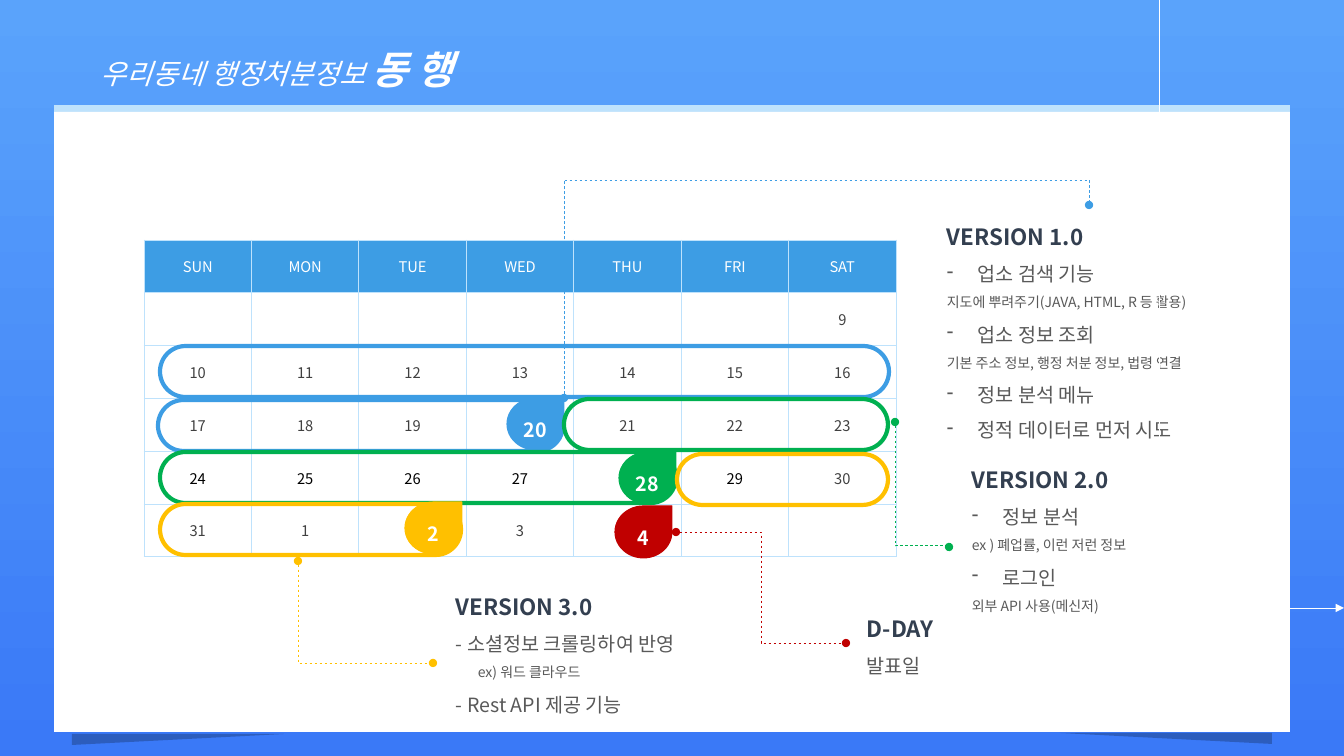
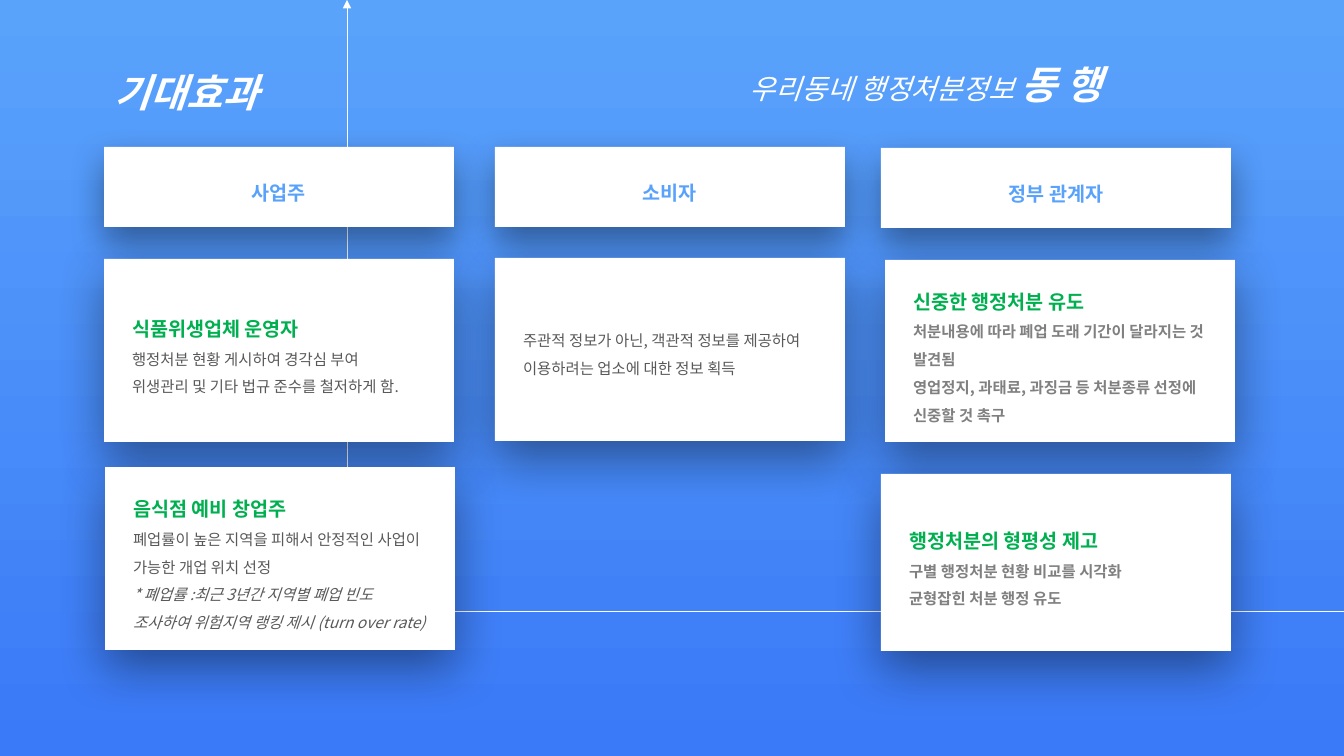
from dataclasses import dataclass

from pptx import Presentation
from pptx.dml.color import RGBColor
from pptx.enum.dml import MSO_LINE
from pptx.enum.shapes import MSO_CONNECTOR, MSO_SHAPE
from pptx.enum.text import MSO_ANCHOR, MSO_AUTO_SIZE, PP_ALIGN
from pptx.oxml.ns import qn
from pptx.oxml.xmlchemy import OxmlElement
from pptx.util import Emu, Pt


@dataclass(frozen=True)
class Theme:
    font: str = "Noto Sans CJK KR"
    white: str = "FFFFFF"
    black: str = "000000"
    sky_top: str = "5AA3FB"
    sky_bottom: str = "3A79F7"
    pale_blue: str = "BEE2FC"
    card_blue: str = "59A2FB"
    blue: str = "3D9DE4"
    green: str = "00B050"
    yellow: str = "FFC000"
    red: str = "C00000"
    navy: str = "333F50"
    date: str = "404040"
    body: str = "595959"
    gray: str = "808080"
    title_size: float = 28
    subtitle_size: float = 20
    heading_size: float = 16
    item_size: float = 14
    card_size: float = 11
    date_size: float = 10.5
    note_size: float = 10


THEME = Theme()
WIDTH, HEIGHT = 1344, 756
EMU_PER_PX = 12192000 / WIDTH

# Text styles: keyword arguments for write()
HEADING = dict(size=THEME.heading_size, color=THEME.navy, bold=True)
ITEM = dict(size=THEME.item_size, color=THEME.body)
BULLET = dict(ITEM, bullet="-", indent=31)
NOTE = dict(size=THEME.note_size, color=THEME.body)
CARD_HEADING = dict(size=THEME.item_size, color=THEME.green, bold=True)
CARD_TEXT = dict(size=THEME.card_size, color=THEME.body)
CARD_STRONG = dict(size=THEME.card_size, color=THEME.gray, bold=True)
BIG_TITLE = dict(size=THEME.title_size, color=THEME.white, bold=True, italic=True)


def px(length):
    return Emu(round(length * EMU_PER_PX))


def rgb(color):
    return RGBColor.from_string(color)


def add_element(parent, tag, **attributes):
    element = OxmlElement(tag)
    for name, value in attributes.items():
        element.set(name, str(value))
    parent.append(element)
    return element


def write(frame, text, *, size, color, bold=False, italic=False, align=PP_ALIGN.LEFT,
          spacing=1.5, bullet=None, indent=0, same_line=False):
    """Add text as a new paragraph, or as a further run of the last one."""
    paragraph = frame.paragraphs[-1]
    if not same_line:
        if paragraph.runs:
            paragraph = frame.add_paragraph()
        paragraph.alignment = align
        paragraph.line_spacing = spacing
        properties = paragraph._p.get_or_add_pPr()
        if indent:
            properties.set("marL", str(px(indent)))
        if bullet:
            properties.set("indent", str(-px(indent)))
            add_element(properties, "a:buChar", char=bullet)
    run = paragraph.add_run()
    run.text = text
    run.font.size = Pt(size)
    run.font.bold = bold
    run.font.italic = italic
    run.font.color.rgb = rgb(color)
    run.font.name = THEME.font
    add_element(run._r.get_or_add_rPr(), "a:ea", typeface=THEME.font)


def add_text(slide, box, lines):
    frame = slide.shapes.add_textbox(*map(px, box)).text_frame
    frame.word_wrap = True
    frame.auto_size = MSO_AUTO_SIZE.SHAPE_TO_FIT_TEXT
    for text, style in lines:
        write(frame, text, **style)


def add_shape(slide, kind, box, fill=None, line=None, line_width=0.75):
    shape = slide.shapes.add_shape(kind, *map(px, box))
    shape.shadow.inherit = False
    if fill:
        shape.fill.solid()
        shape.fill.fore_color.rgb = rgb(fill)
    else:
        shape.fill.background()
    if line:
        shape.line.color.rgb = rgb(line)
        shape.line.width = Pt(line_width)
    else:
        shape.line.fill.background()
    return shape


def set_alpha(color_element, percent):
    add_element(color_element, "a:alpha", val=percent * 1000)


def add_shadow(shape, color, opacity, blur, distance, angle):
    effects = shape._element.spPr.find(qn("a:effectLst"))
    shadow = add_element(effects, "a:outerShdw", blurRad=Pt(blur), dist=Pt(distance),
                         dir=angle * 60000, algn="ctr", rotWithShape=0)
    set_alpha(add_element(shadow, "a:srgbClr", val=color), opacity)


def add_elbow(slide, start, end, bend, color, vertical=False, head=None,
              tail="oval", dashed=True):
    """Draw a bent connector; bend is the share of the way to the turn."""
    (x1, y1), (x2, y2) = start, end
    dx, dy = x2 - x1, y2 - y1
    turn = -1 if dy > 0 else 1
    if vertical:  # Lay the frame flat here; it is rotated upright below.
        middle_x, middle_y = (x1 + x2) / 2, (y1 + y2) / 2
        x1, x2 = middle_x - turn * dy / 2, middle_x + turn * dy / 2
        y1, y2 = middle_y + turn * dx / 2, middle_y - turn * dx / 2
    connector = slide.shapes.add_connector(MSO_CONNECTOR.ELBOW, *map(px, (x1, y1, x2, y2)))
    properties = connector._element.spPr
    if vertical:
        properties.find(qn("a:xfrm")).set("rot", str(turn * 90 % 360 * 60000))
    guides = properties.find(qn("a:prstGeom")).get_or_add_avLst()
    add_element(guides, "a:gd", name="adj1", fmla=f"val {round(bend * 100000)}")
    connector.line.color.rgb = rgb(color)
    connector.line.width = Pt(0.5)
    if dashed:
        connector.line.dash_style = MSO_LINE.DASH
    outline = properties.find(qn("a:ln"))
    if head:
        add_element(outline, "a:headEnd", type=head)
    add_element(outline, "a:tailEnd", type=tail)
    add_element(properties, "a:effectLst")


def add_service_title(slide, left, top):
    add_text(slide, (left, top, 605, 73), [
        ("우리동네 행정처분정보 ", dict(size=THEME.subtitle_size, color=THEME.white, italic=True)),
        ("동 행", dict(BIG_TITLE, same_line=True)),
    ])


def set_background(master):
    fill = master.background.fill
    fill.gradient()
    fill.gradient_angle = 270
    for stop, color in zip(fill.gradient_stops, (THEME.sky_top, THEME.sky_bottom)):
        stop.color.rgb = rgb(color)


# Calendar slide
def add_panel(slide):
    panel = add_shape(slide, MSO_SHAPE.RECTANGLE, (54, 112, 1236, 620), THEME.white)
    add_shadow(panel, THEME.pale_blue, 100, 0, 5, 270)
    for left, top, flips in ((72, 734, ("flipV",)), (1060, 733, ("flipH", "flipV"))):
        fold = add_shape(slide, MSO_SHAPE.RIGHT_TRIANGLE, (left, top, 212, 11), THEME.black)
        for flip in flips:
            fold._element.spPr.find(qn("a:xfrm")).set(flip, "1")
        set_alpha(fold._element.spPr.find(qn("a:solidFill"))[0], 23)


def format_cell(cell, text, fill, color):
    properties = cell._tc.get_or_add_tcPr()
    for side in ("a:lnL", "a:lnR", "a:lnT", "a:lnB"):
        border = add_element(properties, side, w=Pt(0.75))
        add_element(add_element(border, "a:solidFill"), "a:srgbClr", val=THEME.pale_blue)
    cell.fill.solid()
    cell.fill.fore_color.rgb = rgb(fill)
    cell.vertical_anchor = MSO_ANCHOR.MIDDLE
    if text:
        write(cell.text_frame, text, size=THEME.date_size, color=color,
              align=PP_ALIGN.CENTER, spacing=1.0)


def add_calendar(slide):
    weekdays = ["SUN", "MON", "TUE", "WED", "THU", "FRI", "SAT"]
    dates = [""] * 6 + [str(day) for day in (*range(9, 32), *range(1, 5))] + [""] * 2
    columns, rows = len(weekdays), 6
    table = slide.shapes.add_table(rows, columns, *map(px, (144, 240, 752, 317))).table
    table.first_row = table.horz_banding = False
    for column in table.columns:
        column.width = px(752 / columns)
    for row in table.rows:
        row.height = px(317 / rows)
    for index, text in enumerate(weekdays + dates):
        row, column = divmod(index, columns)
        fill, color = (THEME.white, THEME.date) if row else (THEME.blue, THEME.white)
        if text.isdigit() and 24 <= int(text) <= 29:
            color = THEME.black
        format_cell(table.cell(row, column), text, fill, color)


def add_period(slide, left, top, width, color):
    pill = add_shape(slide, MSO_SHAPE.ROUNDED_RECTANGLE, (left, top, width, 51),
                     line=color, line_width=3)
    pill.adjustments[0] = 0.5


def add_deadline(slide, left, top, day, color):
    drop = add_shape(slide, MSO_SHAPE.TEAR, (left, top, 57, 52), color, color)
    frame = drop.text_frame
    frame.word_wrap = False
    frame.vertical_anchor = MSO_ANCHOR.MIDDLE
    write(frame, day, size=THEME.item_size, color=THEME.white, bold=True,
          align=PP_ALIGN.CENTER)


def build_schedule(slide):
    add_panel(slide)
    add_calendar(slide)

    # Periods, deadlines and their leader lines
    dots = dict(head="oval", tail="oval")
    add_period(slide, 158, 400, 405, THEME.blue)
    add_deadline(slide, 507, 398, "20", THEME.blue)
    add_elbow(slide, (564, 398), (1089, 205), 1.13, THEME.blue, vertical=True, **dots)
    add_period(slide, 160, 346, 729, THEME.blue)
    add_period(slide, 564, 399, 324, THEME.green)
    add_period(slide, 160, 452, 516, THEME.green)
    add_deadline(slide, 619, 452, "28", THEME.green)
    add_period(slide, 677, 454, 211, THEME.yellow)
    add_period(slide, 160, 504, 301, THEME.yellow)
    add_deadline(slide, 405, 502, "2", THEME.yellow)
    add_deadline(slide, 615, 506, "4", THEME.red)
    add_elbow(slide, (298, 561), (433, 663), 0, THEME.yellow, **dots)
    add_elbow(slide, (895, 422), (949, 547), 0.99, THEME.green, vertical=True, **dots)
    add_elbow(slide, (676, 532), (846, 643), 0.5, THEME.red, **dots)

    # Version notes
    add_text(slide, (937, 205, 303, 244), [
        ("VERSION 1.0", HEADING),
        ("업소 검색 기능", BULLET),
        ("지도에 뿌려주기(JAVA, HTML, R 등 활용)", NOTE),
        ("업소 정보 조회", BULLET),
        ("기본 주소 정보, 행정 처분 정보, 법령 연결", NOTE),
        ("정보 분석 메뉴", BULLET),
        ("정적 데이터로 먼저 시도", BULLET),
    ])
    add_text(slide, (962, 448, 279, 173), [
        ("VERSION 2.0", HEADING),
        ("정보 분석", BULLET),
        ("ex ) 폐업률, 이런 저런 정보", NOTE),
        ("로그인", BULLET),
        ("외부 API 사용(메신저)", NOTE),
    ])
    add_text(slide, (446, 575, 296, 147), [
        ("VERSION 3.0", HEADING),
        ("- 소셜정보 크롤링하여 반영", ITEM),
        ("ex) 워드 클라우드", dict(NOTE, indent=22)),
        ("- Rest API 제공 기능", ITEM),
    ])
    add_text(slide, (857, 597, 279, 87), [("D-DAY", HEADING), ("발표일", ITEM)])

    add_service_title(slide, 91, 17)
    add_elbow(slide, (1159, 0), (1344, 608), 1, THEME.white, vertical=True,
              tail="triangle", dashed=False)


# Expected effects slide
def add_card(slide, left, top, height, lines, blur=36, distance=13, inset=28):
    card = add_shape(slide, MSO_SHAPE.RECTANGLE, (left, top, 350, height), THEME.white)
    add_shadow(card, THEME.black, 40, blur, distance, 90)
    frame = card.text_frame
    frame.word_wrap = True
    frame.vertical_anchor = MSO_ANCHOR.MIDDLE
    frame.margin_left = frame.margin_right = px(inset)
    for text, style in lines:
        write(frame, text, **style)


def build_effects(slide):
    add_elbow(slide, (1344, 611), (347, 0), 1, THEME.white, tail="triangle", dashed=False)
    add_service_title(slide, 740, 32)
    add_text(slide, (105, 40, 605, 73), [("기대효과", BIG_TITLE)])

    # Audience headers
    audience = dict(size=THEME.item_size, color=THEME.card_blue, bold=True,
                    align=PP_ALIGN.CENTER)
    for left, top, name in ((104, 147, "사업주"), (495, 147, "소비자"), (881, 148, "정부 관계자")):
        add_card(slide, left, top, 80, [(name, audience)], blur=26, distance=11, inset=10)

    # Effects for each audience
    add_card(slide, 104, 259, 183, [
        ("식품위생업체 운영자", CARD_HEADING),
        ("행정처분 현황 게시하여 경각심 부여", CARD_TEXT),
        ("위생관리 및 기타 법규 준수를 철저하게 함.", CARD_TEXT),
    ])
    add_card(slide, 105, 467, 183, [
        ("음식점 예비 창업주", CARD_HEADING),
        ("폐업률이 높은 지역을 피해서 안정적인 사업이 가능한 개업 위치 선정", CARD_TEXT),
        ("* 폐업률 :최근 3년간 지역별 폐업 빈도 조사하여 위험지역 랭킹 제시 (turn over rate)",
         dict(CARD_TEXT, italic=True)),
    ])
    add_card(slide, 495, 258, 183, [
        ("주관적 정보가 아닌, 객관적 정보를 제공하여 이용하려는 업소에 대한 정보 획득", CARD_TEXT),
    ])
    add_card(slide, 885, 260, 182, [
        ("신중한 행정처분 유도", CARD_HEADING),
        ("처분내용에 따라 폐업 도래 기간이 달라지는 것 발견됨", CARD_STRONG),
        ("영업정지, 과태료, 과징금 등 처분종류 선정에 신중할 것 촉구", CARD_STRONG),
    ])
    add_card(slide, 881, 474, 177, [
        ("행정처분의 형평성 제고", CARD_HEADING),
        ("구별 행정처분 현황 비교를 시각화", CARD_STRONG),
        ("균형잡힌 처분 행정 유도", CARD_STRONG),
    ])


def main():
    presentation = Presentation()
    presentation.slide_width, presentation.slide_height = px(WIDTH), px(HEIGHT)
    set_background(presentation.slide_master)
    for build in (build_schedule, build_effects):
        build(presentation.slides.add_slide(presentation.slide_layouts[6]))
    presentation.save("out.pptx")


if __name__ == "__main__":
    main()
